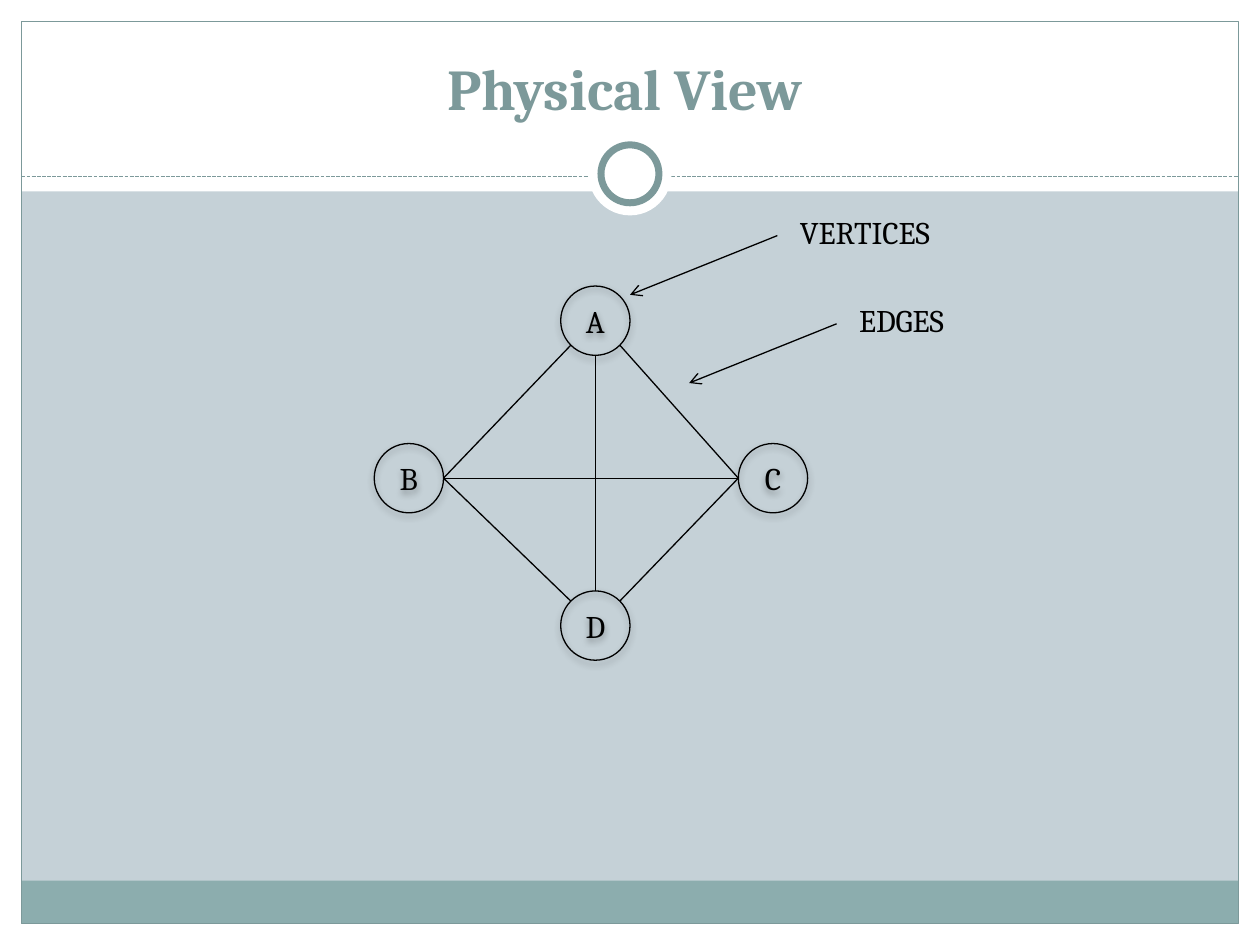
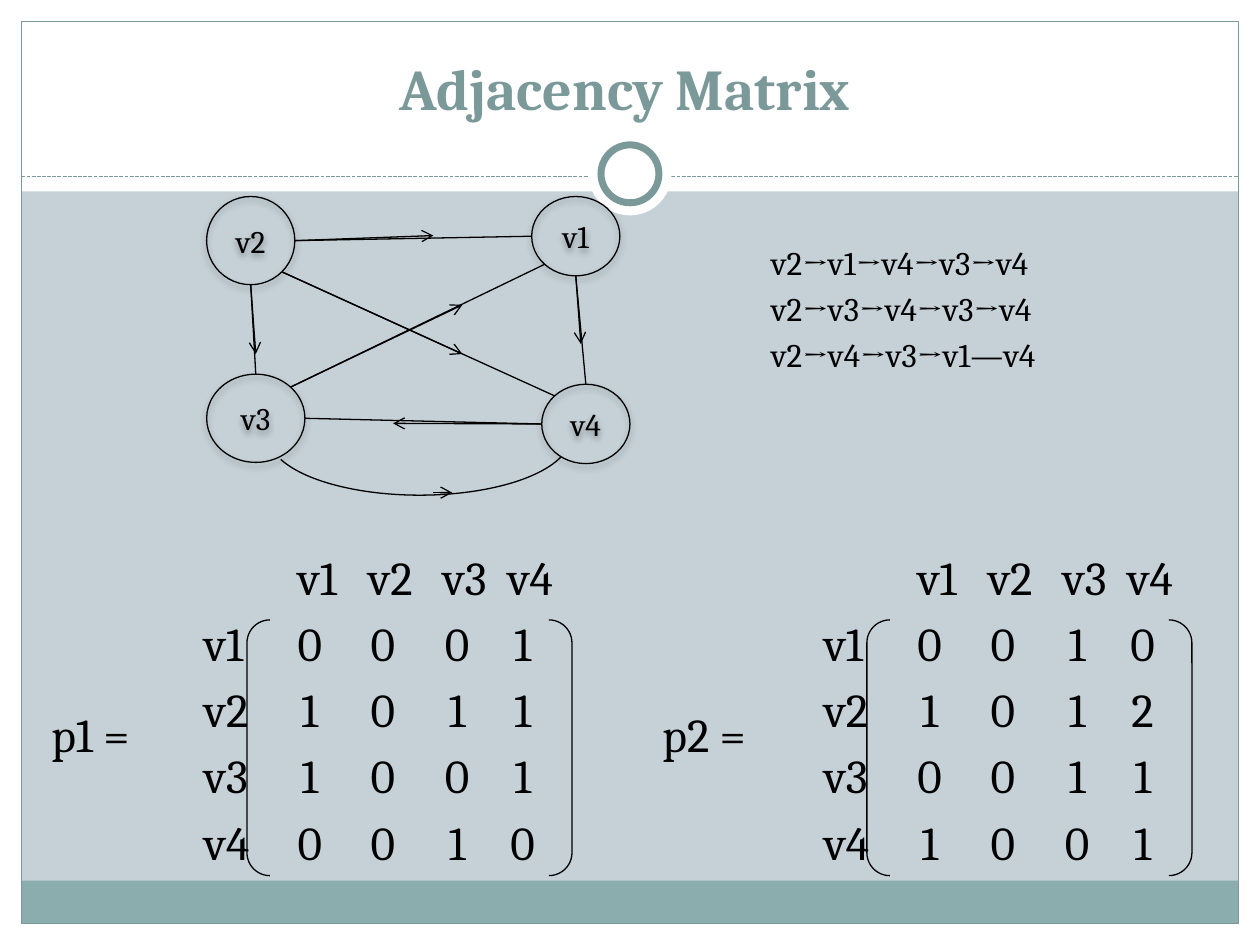
from math import cos, radians, sin

from lxml.etree import SubElement
from pptx import Presentation
from pptx.dml.color import RGBColor
from pptx.enum.dml import MSO_LINE
from pptx.enum.shapes import MSO_CONNECTOR, MSO_SHAPE
from pptx.enum.text import MSO_ANCHOR, MSO_AUTO_SIZE, PP_ALIGN
from pptx.oxml.ns import qn
from pptx.util import Inches, Pt

WIDTH, HEIGHT = 10, 7.5
MARGIN = 0.17
FONT = "Cambria"
BLACK, WHITE, TEAL, BAND, PAPER = "000000", "FFFFFF", "7C999A", "8CADAE", "C5D1D7"

FRAME = [
    (MSO_SHAPE.RECTANGLE, (0, HEIGHT - MARGIN, WIDTH, MARGIN), WHITE, None, 0),
    (MSO_SHAPE.RECTANGLE, (0, 0, WIDTH, 1.52), WHITE, None, 0),
    (MSO_SHAPE.RECTANGLE, (0, 0, MARGIN, HEIGHT), WHITE, None, 0),
    (MSO_SHAPE.RECTANGLE, (WIDTH - MARGIN, 0, MARGIN, HEIGHT), WHITE, None, 0),
    (MSO_SHAPE.RECTANGLE, (MARGIN, 6.99, WIDTH - 2 * MARGIN, 0.34), BAND, None, 0),
    (MSO_SHAPE.RECTANGLE, (MARGIN, MARGIN, WIDTH - 2 * MARGIN, HEIGHT - 2 * MARGIN),
     None, TEAL, 0.75),
]
RINGS = [
    (MSO_SHAPE.OVAL, (4.67, 1.05, 0.66, 0.66), WHITE, None, 0),
    (MSO_SHAPE.OVAL, (4.77, 1.15, 0.46, 0.46), WHITE, TEAL, 4),
]

PHYSICAL_NODES = {
    "A": (4.45, 2.27, 0.55, 0.55),
    "B": (2.97, 3.52, 0.55, 0.55),
    "C": (5.86, 3.52, 0.55, 0.55),
    "D": (4.45, 4.69, 0.55, 0.55),
}
PHYSICAL_EDGES = [
    ("A", "S", "D", "N"), ("B", "E", "D", "NW"), ("A", "SE", "C", "W"),
    ("B", "E", "C", "W"), ("B", "E", "A", "SW"), ("D", "NE", "C", "W"),
]
CALLOUTS = [("VERTICES", 6.25, 1.64), ("EDGES", 6.72, 2.34)]

DIRECTED_NODES = {
    "v1": (4.22, 1.56, 0.7, 0.63),
    "v2": (1.64, 1.56, 0.7, 0.7),
    "v3": (1.64, 2.97, 0.78, 0.7),
    "v4": (4.3, 3.05, 0.7, 0.63),
}
DIRECTED_EDGES = [
    ("v2", "SE", "v4", "NW", (3.67, 2.81)),
    ("v4", "W", "v3", "E", (3.12, 3.36)),
    ("v2", "E", "v1", "W", (3.44, 1.87)),
    ("v3", "NE", "v1", "SW", (3.67, 2.42)),
    ("v2", "S", "v3", "N", (2.03, 2.81)),
    ("v1", "S", "v4", "N", (4.61, 2.73)),
]
PATHS = ["v2→v1→v4→v3→v4", "v2→v3→v4→v3→v4", "v2→v4→v3→v1—v4"]
MATRICES = [
    ("p1 =", 0.31, 1.52, ["0001", "1011", "1001", "0010"]),
    ("p2 =", 5.16, 6.44, ["0010", "1012", "0011", "1001"]),
]
DIGIT_STOPS = [0.84, 1.42, 2.01, 2.53]
HEADER_SHIFT = 0.06

COMPASS = {name: radians(45 * step) for step, name in
           enumerate(["E", "SE", "S", "SW", "W", "NW", "N", "NE"])}


def colour(value):
    return RGBColor.from_string(value)


def apply(target, values):
    for name, value in values.items():
        setattr(target, name, value)


def place(shape, area):
    apply(shape, dict(zip(("left", "top", "width", "height"), map(Inches, area))))


def write(box, lines, size, align=PP_ALIGN.LEFT, ink=BLACK, gap=0, stops=None, bold=False):
    frame = box.text_frame
    for index, line in enumerate(lines):
        para = frame.paragraphs[0] if index == 0 else frame.add_paragraph()
        props = para._p.get_or_add_pPr()
        if box.is_placeholder:
            props.set("marL", "0")
            props.set("indent", "0")
            SubElement(props, qn("a:buNone"))
        if stops:
            tabs = SubElement(props, qn("a:tabLst"))
            shift = HEADER_SHIFT if index == 0 else 0
            for stop in stops:
                SubElement(tabs, qn("a:tab"), pos=str(Inches(stop + shift)), algn="ctr")
        apply(para, {"alignment": align, "space_before": Pt(gap if index else 0)})
        span = para.add_run()
        span.text = line
        apply(span.font, {"size": Pt(size), "name": FONT, "bold": bold})
        span.font.color.rgb = colour(ink)


def add_text(page, area, lines, size, **options):
    box = page.shapes.add_textbox(*map(Inches, area))
    box.text_frame.word_wrap = True
    write(box, lines, size, **options)


def add_figure(page, kind, area, fill=None, ink=BLACK, weight=0.75):
    shape = page.shapes.add_shape(kind, *map(Inches, area))
    shape.shadow.inherit = False
    if fill:
        shape.fill.solid()
        shape.fill.fore_color.rgb = colour(fill)
    else:
        shape.fill.background()
    if ink:
        shape.line.color.rgb = colour(ink)
        shape.line.width = Pt(weight)
    else:
        shape.line.fill.background()
    return shape


def add_line(page, start, end, arrow=False, ink=BLACK):
    line = page.shapes.add_connector(MSO_CONNECTOR.STRAIGHT, *map(Inches, (*start, *end)))
    line.line.color.rgb = colour(ink)
    line.line.width = Pt(0.75)
    if arrow:
        SubElement(line.line._get_or_add_ln(), qn("a:tailEnd"), type="arrow")
    SubElement(line._element.spPr, qn("a:effectLst"))
    return line


def add_node(page, label, area):
    node = add_figure(page, MSO_SHAPE.OVAL, area)
    effects = node._element.spPr.find(qn("a:effectLst"))
    shadow = SubElement(effects, qn("a:outerShdw"), blurRad=str(Pt(4)), dist=str(Pt(2)),
                        dir="5400000", rotWithShape="0")
    tint = SubElement(shadow, qn("a:srgbClr"), val=BLACK)
    SubElement(tint, qn("a:alpha"), val="35000")
    apply(node.text_frame, {"word_wrap": False, "vertical_anchor": MSO_ANCHOR.MIDDLE,
                            "margin_left": 0, "margin_right": 0})
    write(node, [label], 18, align=PP_ALIGN.CENTER)


def site(area, direction):
    left, top, width, height = area
    angle = COMPASS[direction]
    return left + width / 2 * (1 + cos(angle)), top + height / 2 * (1 + sin(angle))


def add_graph(page, nodes, edges):
    for label, area in nodes.items():
        add_node(page, label, area)
    for first, leave, second, arrive, *tips in edges:
        start = site(nodes[first], leave)
        add_line(page, start, site(nodes[second], arrive))
        for tip in tips:
            add_line(page, start, tip, arrow=True)


def build_master(deck, page):
    master = deck.slide_master
    master.background.fill.solid()
    master.background.fill.fore_color.rgb = colour(PAPER)
    parts = [add_figure(page, *part) for part in FRAME]
    rule = add_line(page, (MARGIN, 1.4), (WIDTH - MARGIN, 1.4), ink=TEAL)
    rule.line.dash_style = MSO_LINE.SQUARE_DOT
    rule.line._get_or_add_ln().find(qn("a:prstDash")).set("val", "sysDash")
    parts += [rule] + [add_figure(page, *part) for part in RINGS]
    for number, part in enumerate(parts, 100):
        part._element.xpath(".//p:cNvPr")[0].set("id", str(number))
        master.shapes._spTree.append(part._element)


def add_page(deck, layout, heading):
    page = deck.slides.add_slide(deck.slide_layouts[layout])
    title = page.shapes.title
    place(title, (1.87, 0.32, 6.18, 0.7))
    apply(title.text_frame, {"vertical_anchor": MSO_ANCHOR.BOTTOM,
                             "auto_size": MSO_AUTO_SIZE.NONE})
    write(title, [heading], 33, align=PP_ALIGN.CENTER, ink=TEAL, bold=True)
    return page


def build_physical_view(deck):
    page = add_page(deck, 5, "Physical View")
    build_master(deck, page)
    add_graph(page, PHYSICAL_NODES, PHYSICAL_EDGES)
    for label, left, top in CALLOUTS:
        add_text(page, (left, top, 2, 0.4), [label], 18)
        start = left - 0.08, top + 0.23
        add_line(page, start, (start[0] - 1.17, start[1] + 0.47), arrow=True)


def build_adjacency_matrix(deck):
    page = add_page(deck, 1, "Adjacency Matrix")
    body = page.placeholders[1]
    place(body, (6.02, 1.87, 2.66, 1.33))
    body.text_frame.auto_size = MSO_AUTO_SIZE.NONE
    write(body, PATHS, 18.9, gap=3.8)
    add_graph(page, DIRECTED_NODES, DIRECTED_EDGES)
    curve = add_figure(page, MSO_SHAPE.ARC, (2.13, 2.99, 2.4, 0.94))
    curve.rotation = 180
    curve.adjustments[0], curve.adjustments[1] = 113.1, 210.23
    add_line(page, (3.44, 3.91), (3.59, 3.91), arrow=True)
    names = sorted(DIRECTED_NODES)
    for label, label_left, left, rows in MATRICES:
        lines = ["\t".join(["", *names])]
        lines += ["\t".join([name, *row]) for name, row in zip(names, rows)]
        add_text(page, (left, 4.3, 3.3, 3.05), lines, 27, gap=5.4, stops=DIGIT_STOPS)
        add_text(page, (label_left, 5.55, 1.2, 0.6), [label], 27)
        bracket = add_figure(page, MSO_SHAPE.DOUBLE_BRACKET, (left + 0.44, 4.92, 2.58, 2.03))
        bracket.adjustments[0] = 0.09


def main():
    deck = Presentation()
    apply(deck, {"slide_width": Inches(WIDTH), "slide_height": Inches(HEIGHT)})
    build_physical_view(deck)
    build_adjacency_matrix(deck)
    deck.save("out.pptx")


if __name__ == "__main__":
    main()
